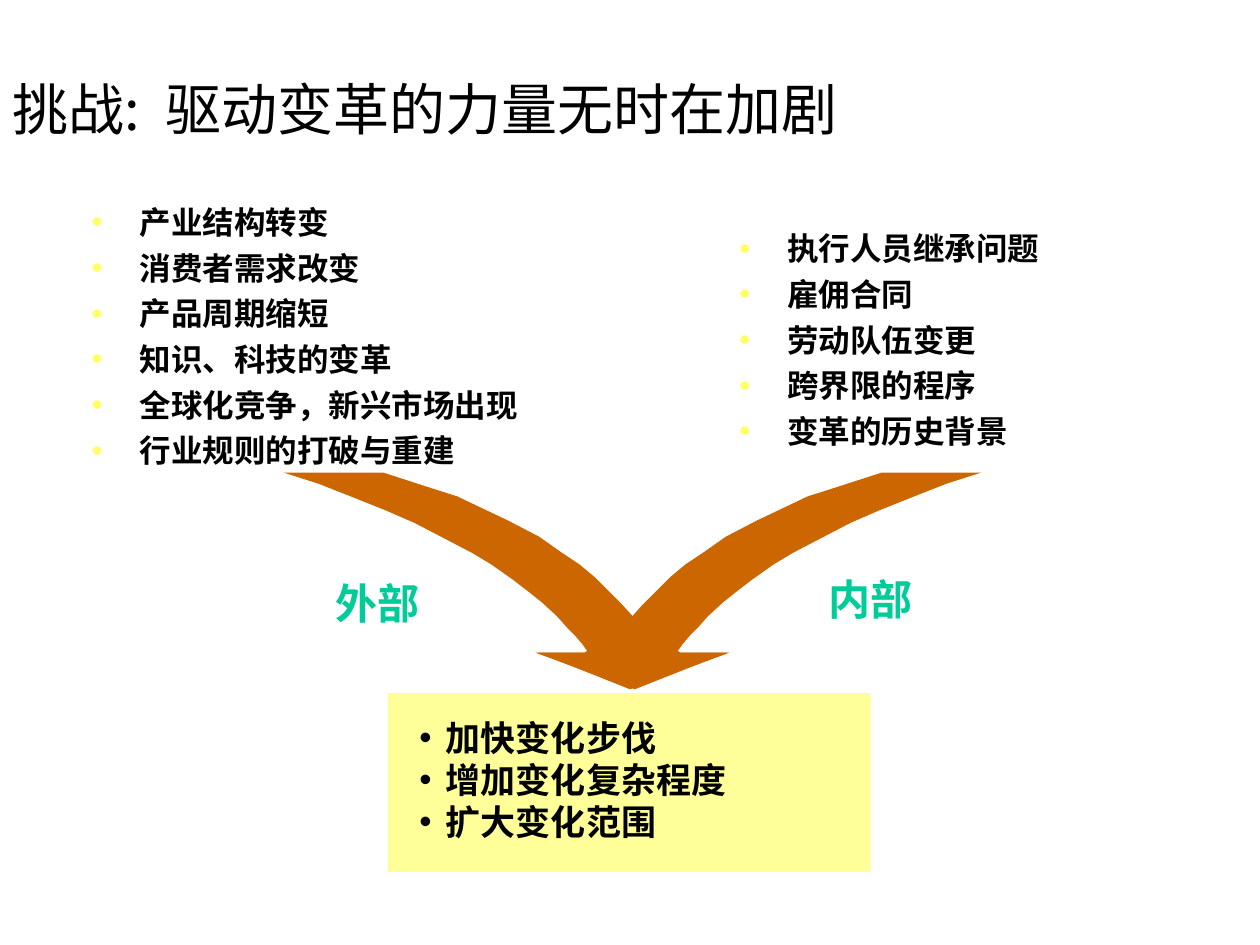
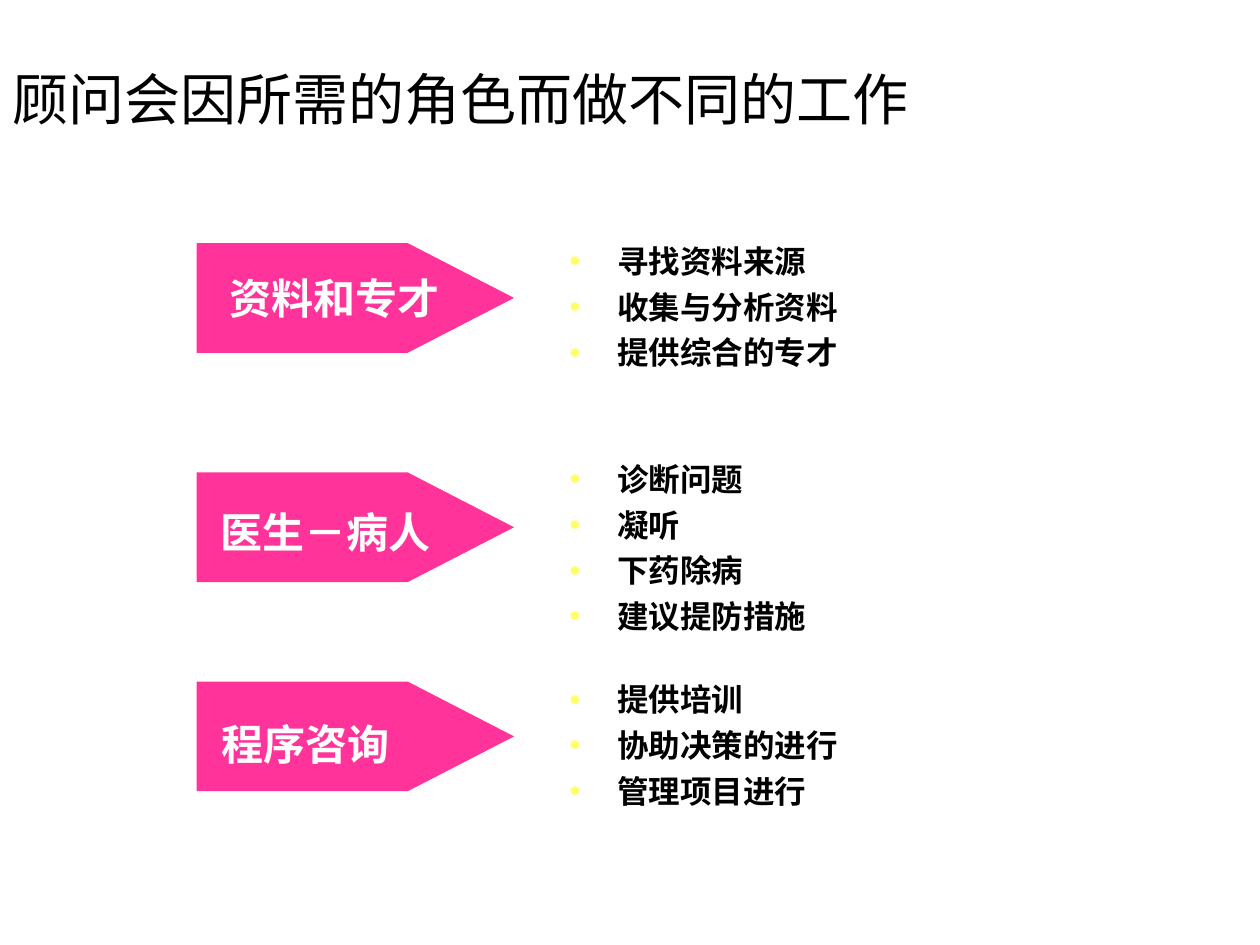
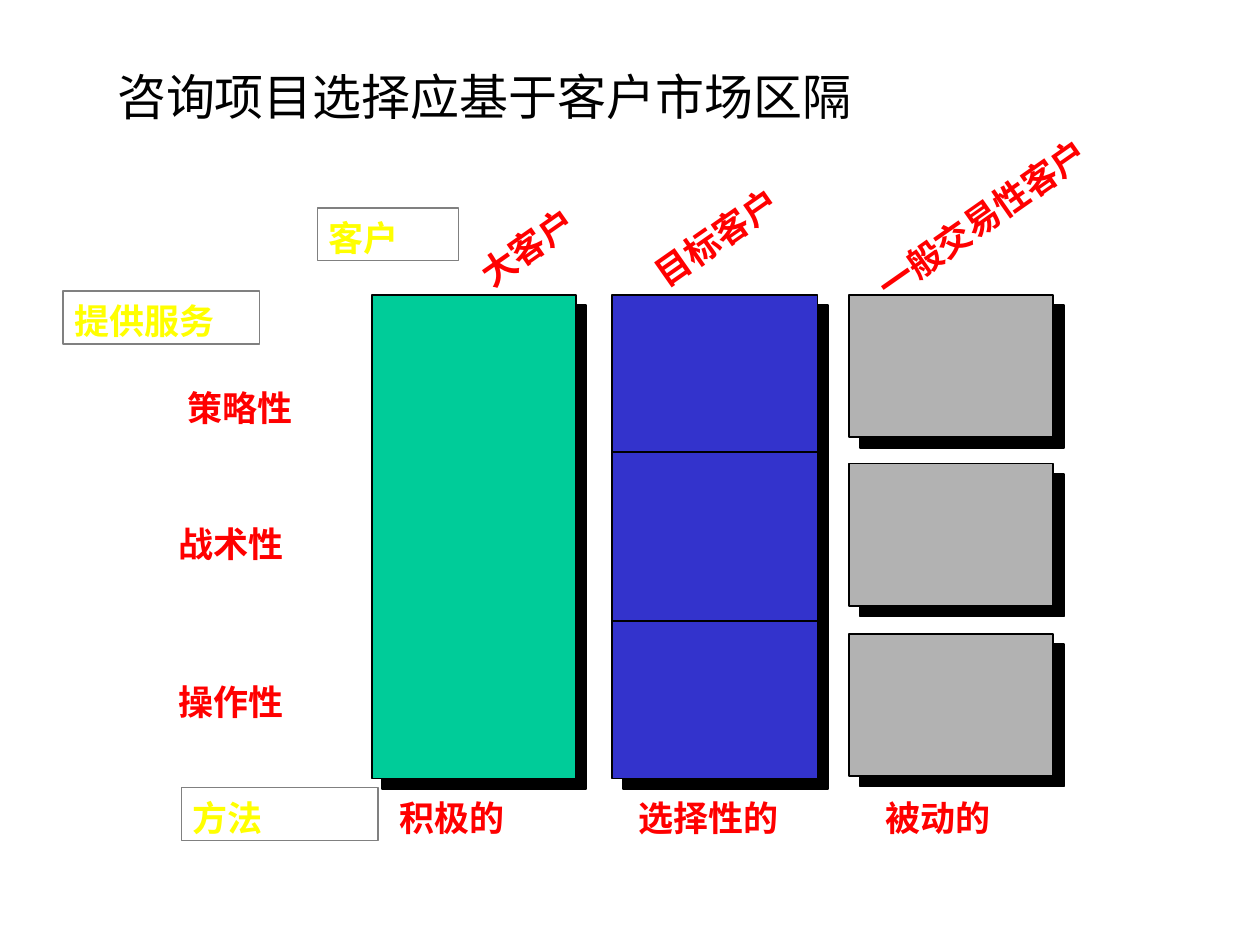
from dataclasses import dataclass

from lxml import etree
from pptx import Presentation
from pptx.dml.color import RGBColor
from pptx.enum.shapes import MSO_CONNECTOR, MSO_SHAPE
from pptx.enum.text import MSO_ANCHOR, MSO_AUTO_SIZE, PP_ALIGN
from pptx.oxml.ns import qn
from pptx.util import Pt

RECTANGLE, PENTAGON = MSO_SHAPE.RECTANGLE, MSO_SHAPE.PENTAGON
STRAIGHT = MSO_CONNECTOR.STRAIGHT
TOP, NO_FIT = MSO_ANCHOR.TOP, MSO_AUTO_SIZE.NONE
LEFT, CENTER = PP_ALIGN.LEFT, PP_ALIGN.CENTER
SCALE = 9144
TITLE_ONLY = 5


@dataclass(frozen=True)
class Theme:
    """Colours, fonts and type sizes of the deck."""
    black: str = "000000"
    white: str = "FFFFFF"
    bullet: str = "FFFF66"
    panel: str = "FFFF99"
    arrow: str = "CC6600"
    green: str = "00CC99"
    pink: str = "FF3399"
    blue: str = "3333CC"
    grey: str = "B2B2B2"
    frame: str = "808080"
    red: str = "FF0000"
    yellow: str = "FFFF00"
    cjk: str = "Noto Sans CJK SC"
    latin: str = "Arial"
    title: int = 32
    small_title: int = 28
    heading: int = 24
    label: int = 20
    body: int = 18
    leading: float = 1.2


THEME = Theme()

ARROW_POINTS = [
    (493, 498), (501, 490), (510, 480), (521, 469), (532, 458), (544, 448),
    (559, 438), (576, 426), (601, 413), (620, 404), (641, 394), (663, 387),
    (700, 375), (779, 375), (751, 384), (723, 395), (698, 405), (675, 415),
    (650, 428), (629, 439), (614, 448), (597, 460), (584, 470), (574, 478),
    (562, 489), (554, 498), (548, 504), (542, 511), (537, 518), (577, 518),
    (504, 547), (425, 518), (464, 518),
]
ARROW_MIRROR = 1004


def px(*lengths):
    """Turn px lengths into EMU."""
    return [length * SCALE for length in lengths]


def color(value):
    """Make a colour from its hex value."""
    return RGBColor.from_string(value)


def add_bullet(para, tint, indent):
    """Give a paragraph a hanging bullet."""
    properties = para._p.get_or_add_pPr()
    properties.set("marL", str(indent * SCALE))
    properties.set("indent", str(-indent * SCALE))
    fill = etree.SubElement(properties, qn("a:buClr"))
    etree.SubElement(fill, qn("a:srgbClr"), val=tint)
    etree.SubElement(properties, qn("a:buFont"), typeface=THEME.latin)
    etree.SubElement(properties, qn("a:buChar"), char="•")


def write(shape, lines, size, tint, bold=True, font=THEME.latin, align=LEFT,
          bullet=None, indent=0, gap=0, side=10):
    """Fill a shape with evenly set paragraphs."""
    frame = shape.text_frame
    frame.word_wrap = True
    frame.auto_size = NO_FIT
    frame.vertical_anchor = TOP
    frame.margin_left, frame.margin_right = px(side, side)
    frame.margin_top, frame.margin_bottom = px(5 + round(size / 8), 5)
    for index, line in enumerate(lines):
        para = frame.add_paragraph() if index else frame.paragraphs[0]
        if bullet:
            add_bullet(para, bullet, indent)
        para.alignment = align
        para.line_spacing = Pt(size * THEME.leading)
        para.space_before = Pt(gap if index else 0)
        span = para.add_run()
        span.text = line
        span.font.size = Pt(size)
        span.font.bold = bold
        span.font.color.rgb = color(tint)
        span.font.name = font
        etree.SubElement(span._r.get_or_add_rPr(), qn("a:ea"), typeface=THEME.cjk)


def add_text(page, box, lines, size, tint, **style):
    """Add a text box."""
    shape = page.shapes.add_textbox(*px(*box))
    write(shape, lines, size, tint, **style)
    return shape


def add_list(page, box, lines):
    """Add a bulleted list in the body style."""
    add_text(page, box, lines, THEME.body, THEME.black, font=THEME.cjk,
             bullet=THEME.bullet, indent=38, gap=4.5)


def paint(shape, fill=None, line=None, width=1):
    """Set a shape's fill and line and drop its shadow."""
    if fill:
        shape.fill.solid()
        shape.fill.fore_color.rgb = color(fill)
    else:
        shape.fill.background()
    if line:
        shape.line.color.rgb = color(line)
        shape.line.width = Pt(width)
    else:
        shape.line.fill.background()
    shape.shadow.inherit = False


def add_block(page, box, fill=None, line=None, width=1, kind=RECTANGLE):
    """Add a painted preset shape."""
    shape = page.shapes.add_shape(kind, *px(*box))
    paint(shape, fill, line, width)
    return shape


def add_shadowed_block(page, box, fill):
    """Add an outlined rectangle with a hard black shadow."""
    shape = add_block(page, box, fill, THEME.black)
    effects = shape._element.spPr.find(qn("a:effectLst"))
    shadow = etree.SubElement(effects, qn("a:outerShdw"), dist=str(Pt(8.5)),
                              dir="2700000", algn="ctr", rotWithShape="0")
    etree.SubElement(shadow, qn("a:srgbClr"), val=THEME.black)


def add_page(deck, title, box, size=THEME.title):
    """Add a slide with its title."""
    page = deck.slides.add_slide(deck.slide_layouts[TITLE_ONLY])
    holder = page.shapes.title
    holder.left, holder.top, holder.width, holder.height = px(*box)
    write(holder, [title], size, THEME.black, bold=False, font=THEME.cjk)
    return page


def add_merging_arrows(page):
    """Add two mirrored curved arrows that meet at one point."""
    group = page.shapes.add_group_shape()
    mirrored = [(ARROW_MIRROR - x, y) for x, y in ARROW_POINTS]
    for points in (ARROW_POINTS, mirrored):
        builder = group.shapes.build_freeform(*points[0], scale=SCALE)
        builder.add_line_segments(points[1:], close=True)
        paint(builder.convert_to_shape(), THEME.arrow)


def add_result_panel(page, box, lines):
    """Add the yellow panel with the combined results."""
    left, top, width, height = box
    add_block(page, box, THEME.panel)
    add_text(page, (left + 15, top + 12, width - 22, height - 32), lines,
             THEME.label, THEME.black, bullet=THEME.black, indent=21)


def build_forces(deck):
    """Build the slide on the forces driving change."""
    page = add_page(deck, "挑战:  驱动变革的力量无时在加剧", (0, 50, 846, 83))
    add_result_panel(page, (308, 550, 383, 142),
                     ["加快变化步伐", "增加变化复杂程度", "扩大变化范围"])
    add_list(page, (63, 154, 403, 226),
             ["产业结构转变", "消费者需求改变", "产品周期缩短", "知识、科技的变革",
              "全球化竞争，新兴市场出现", "行业规则的打破与重建"])
    add_list(page, (577, 175, 260, 190),
             ["执行人员继承问题", "雇佣合同", "劳动队伍变更", "跨界限的程序", "变革的历史背景"])
    add_text(page, (207, 450, 185, 50), ["外部"], THEME.heading, THEME.green, align=CENTER)
    add_text(page, (648, 447, 152, 50), ["内部"], THEME.heading, THEME.green)
    add_merging_arrows(page)


def add_role(page, top, label, label_offset, list_top, tasks):
    """Add one role pentagon with its label and its tasks."""
    left = 156
    pentagon = add_block(page, (left, top, 252, 87), THEME.pink, kind=PENTAGON)
    pentagon.adjustments[0] = 0.97
    across, down = label_offset
    add_text(page, (left + across, top + down, 194, 50), [label],
             THEME.heading, THEME.white, font=THEME.cjk)
    add_list(page, (442, list_top, 463, 5 + 36 * len(tasks)), tasks)


def build_roles(deck):
    """Build the slide on consultant roles."""
    page = add_page(deck, "顾问会因所需的角色而做不同的工作", (0, 42, 898, 125))
    add_role(page, 193, "资料和专才", (16, 15), 185,
             ["寻找资料来源", "收集与分析资料", "提供综合的专才"])
    add_role(page, 375, "医生－病人", (9, 19), 358,
             ["诊断问题", "凝听", "下药除病", "建议提防措施"])
    add_role(page, 541, "程序咨询", (10, 21), 533,
             ["提供培训", "协助决策的进行", "管理项目进行"])


def add_segment_columns(page, top, height):
    """Add the three client columns of the grid."""
    width = 162
    add_shadowed_block(page, (295, top, width, height), THEME.green)
    add_shadowed_block(page, (486, top, width + 1, height), THEME.blue)
    for row in range(3):
        cell_top = top + round(row * 134.5)
        add_shadowed_block(page, (674, cell_top, width, 113), THEME.grey)
    for offset in (125, 259):
        divider = page.shapes.add_connector(
            STRAIGHT, *px(486, top + offset, 650, top + offset))
        divider.line.color.rgb = color(THEME.black)
        divider.line.width = Pt(1)
        etree.SubElement(divider._element.spPr, qn("a:effectLst"))


def add_axis_label(page, box, text):
    """Add a framed axis name."""
    shape = add_block(page, box, line=THEME.frame, width=0.75)
    write(shape, [text], THEME.label, THEME.yellow, side=9)


def build_segments(deck):
    """Build the slide on client market segments."""
    page = add_page(deck, "咨询项目选择应基于客户市场区隔", (83, 44, 917, 81),
                    THEME.small_title)
    add_segment_columns(page, 234, 384)
    for left, top, text in ((140, 300, "策略性"), (133, 408, "战术性"), (133, 533, "操作性")):
        add_text(page, (left, top, 146, 42), [text], THEME.label, THEME.red, side=9)
    for left, text in ((307, "积极的"), (497, "选择性的"), (693, "被动的")):
        add_text(page, (left, 625, 163, 43), [text], THEME.label, THEME.red)
    for box, text, align in (((344, 173, 146, 42), "大客户", CENTER),
                             ((488, 165, 158, 42), "目标客户", CENTER),
                             ((665, 130, 283, 42), "一般交易性客户", LEFT)):
        client = add_text(page, box, [text], THEME.label, THEME.red, align=align, side=9)
        client.rotation = 325
    add_axis_label(page, (144, 625, 156, 42), "方法")
    add_axis_label(page, (50, 231, 156, 42), "提供服务")
    add_axis_label(page, (252, 165, 112, 42), "客户")


def main():
    """Build and save the deck."""
    deck = Presentation()
    deck.slide_width, deck.slide_height = px(1000, 750)
    build_forces(deck)
    build_roles(deck)
    build_segments(deck)
    deck.save("out.pptx")


if __name__ == "__main__":
    main()
